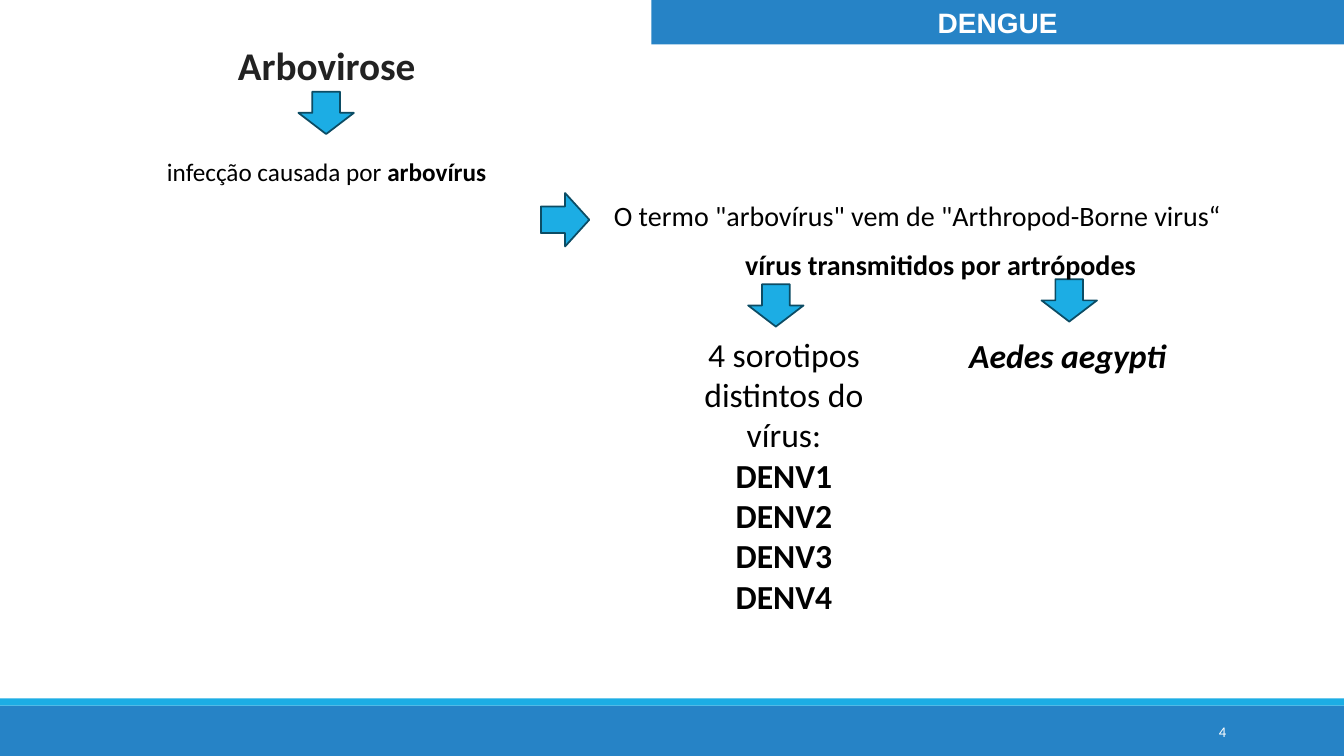
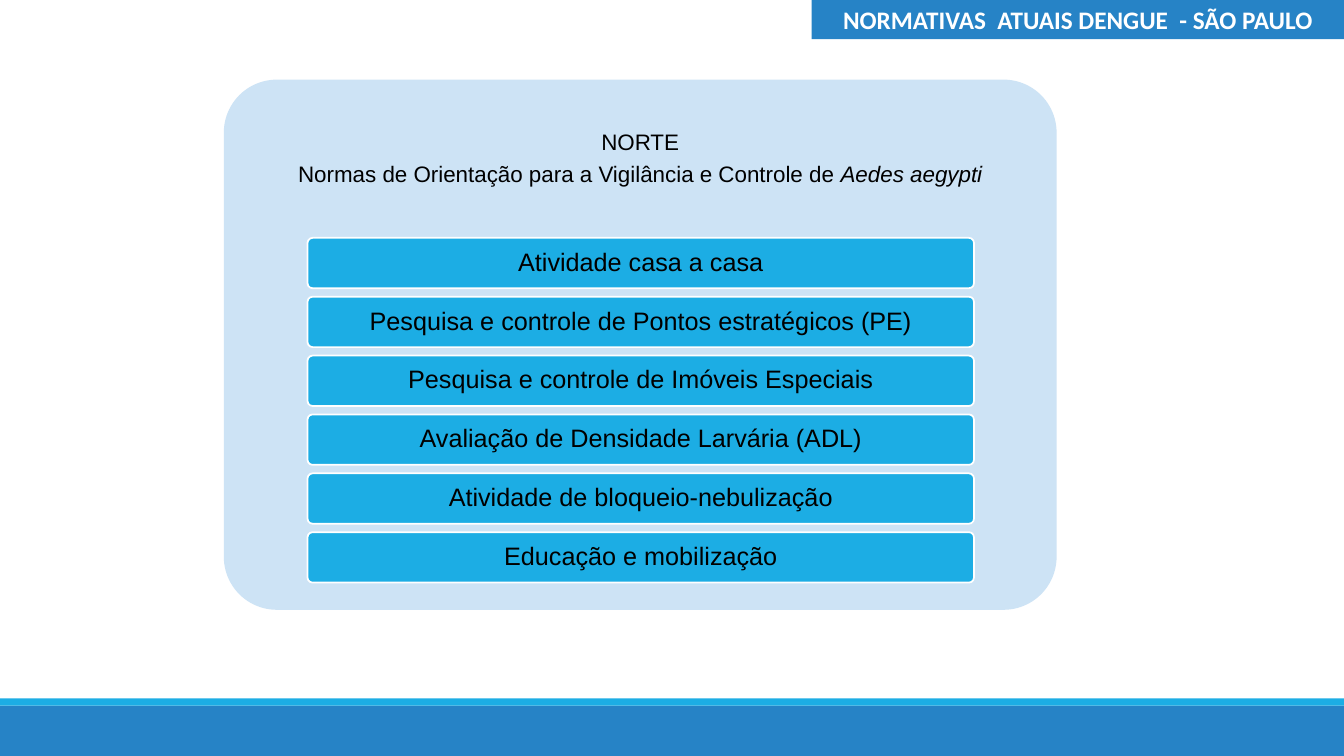
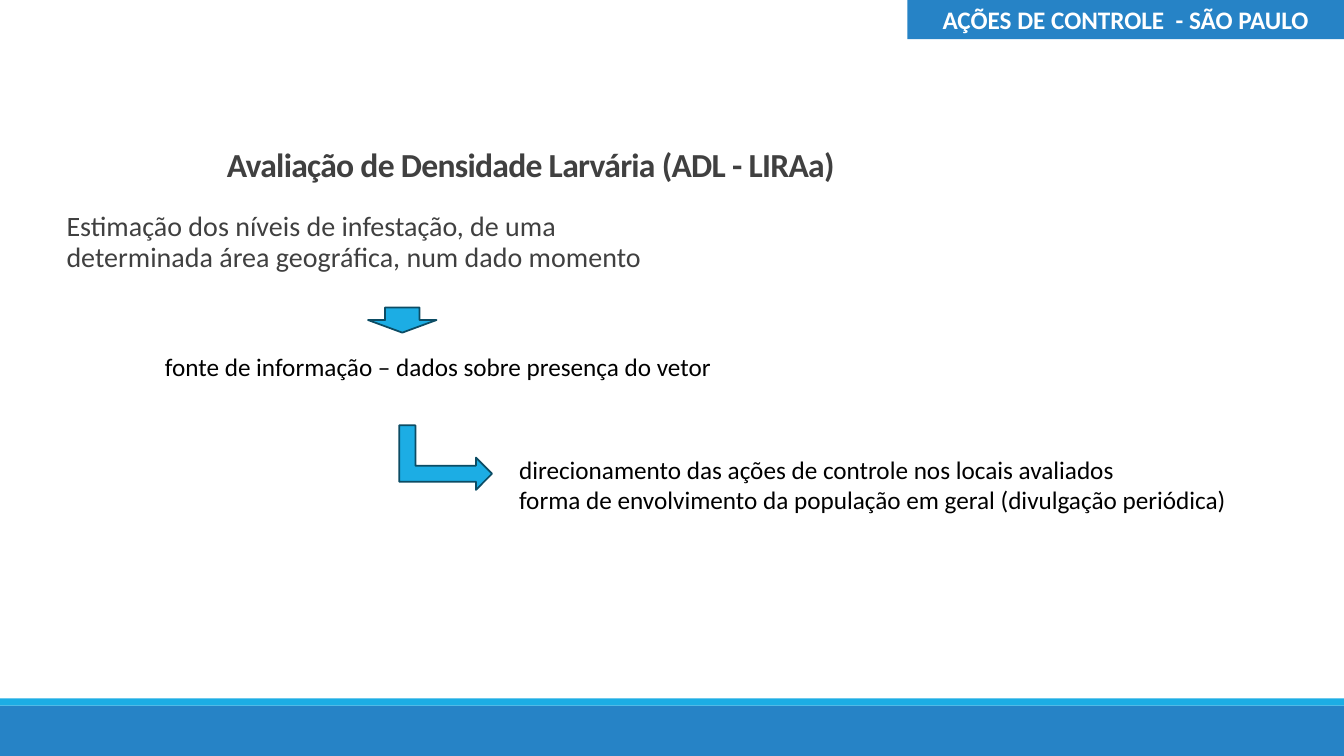
from lxml import etree
from pptx import Presentation
from pptx.dml.color import RGBColor
from pptx.enum.shapes import MSO_SHAPE
from pptx.enum.text import MSO_ANCHOR, MSO_AUTO_SIZE, PP_ALIGN
from pptx.oxml.ns import qn
from pptx.util import Inches, Pt

RECTANGLE = MSO_SHAPE.RECTANGLE
ROUNDED = MSO_SHAPE.ROUNDED_RECTANGLE
DOWN_ARROW = MSO_SHAPE.DOWN_ARROW
BENT_ARROW = MSO_SHAPE.BENT_UP_ARROW
LEFT, CENTER, RIGHT, JUSTIFY = PP_ALIGN.LEFT, PP_ALIGN.CENTER, PP_ALIGN.RIGHT, PP_ALIGN.JUSTIFY
TOP, MIDDLE, BOTTOM = MSO_ANCHOR.TOP, MSO_ANCHOR.MIDDLE, MSO_ANCHOR.BOTTOM
NO_AUTOFIT = MSO_AUTO_SIZE.NONE

BLUE = RGBColor(0x26, 0x83, 0xC6)
CYAN = RGBColor(0x1C, 0xAD, 0xE4)
PALE_BLUE = RGBColor(0xCD, 0xE3, 0xF5)
NAVY = RGBColor(0x0C, 0x4C, 0x64)
WHITE = RGBColor(0xFF, 0xFF, 0xFF)
BLACK = RGBColor(0x00, 0x00, 0x00)
CHARCOAL = RGBColor(0x22, 0x22, 0x22)
GRAY = RGBColor(0x40, 0x40, 0x40)


def add_block(page, kind, left, top, width, height, fill, outline=None):
    block = page.shapes.add_shape(kind, Inches(left), Inches(top), Inches(width), Inches(height))
    block.shadow.inherit = False
    block.fill.solid()
    block.fill.fore_color.rgb = fill
    if outline is None:
        block.line.fill.background()
    else:
        block.line.color.rgb = outline
        block.line.width = Pt(1.25)
    return block


def write(box, paragraphs, size, font="Calibri", color=BLACK, align=CENTER,
          anchor=TOP, spacing=None, after=None):
    """Each paragraph is a list of (text, style) runs; style holds b and/or i."""
    frame = box.text_frame
    frame.word_wrap = True
    frame.vertical_anchor = anchor
    for index, runs in enumerate(paragraphs):
        para = frame.add_paragraph() if index else frame.paragraphs[0]
        para.alignment = align
        para.line_spacing = spacing
        para.space_after = after
        for text, style in runs:
            span = para.add_run()
            span.text = text
            span.font.name = font
            span.font.size = Pt(size)
            span.font.color.rgb = color
            span.font.bold = "b" in style
            span.font.italic = "i" in style
    return frame


deck = Presentation()
deck.slide_width = Inches(13.33)
deck.slide_height = Inches(7.5)
BLANK = deck.slide_layouts[6]
TITLE_AND_BODY = deck.slide_layouts[1]
pages = [deck.slides.add_slide(layout) for layout in (BLANK, BLANK, TITLE_AND_BODY)]
dengue, norms, actions = pages

# Footer bands, moved to the master
master_tree = deck.slide_master.shapes.element
for number, (top, height, fill) in enumerate([(7, 0.5, BLUE), (6.93, 0.07, CYAN)]):
    band = add_block(dengue, RECTANGLE, 0, top, 13.33, height, fill)
    band.name = f"Footer band {number + 1}"
    band.element.nvSpPr.cNvPr.set("id", str(101 + number))
    master_tree.insert(2 + number, band.element)

# Banner at the top right of each slide
banners = [
    ("DENGUE", 6.46, 0, 0.44, 20, "Arial"),
    ("NORMATIVAS  ATUAIS DENGUE  - SÃO PAULO", 8.05, -0.01, 0.4, 18, "Calibri"),
    ("AÇÕES DE CONTROLE  - SÃO PAULO", 9, -0.01, 0.4, 18, "Calibri"),
]
for page, (text, left, top, height, size, font) in zip(pages, banners):
    banner = add_block(page, RECTANGLE, left, top, 13.33 - left, height, BLUE)
    write(banner, [[(text, "b")]], size, font, WHITE, anchor=MIDDLE)

# Arrows
arrows = [
    (dengue, DOWN_ARROW, 2.96, 0.91, 0.55, 0.42, 0),
    (dengue, DOWN_ARROW, 5.34, 1.94, 0.53, 0.48, 270),
    (dengue, DOWN_ARROW, 10.33, 2.77, 0.55, 0.42, 0),
    (dengue, DOWN_ARROW, 7.42, 2.82, 0.55, 0.42, 0),
    (actions, DOWN_ARROW, 3.65, 3.05, 0.68, 0.25, 0),
    (actions, BENT_ARROW, 4.1, 4.08, 0.64, 0.92, 90),
]
for page, kind, left, top, width, height, turn in arrows:
    arrow = add_block(page, kind, left, top, width, height, CYAN, NAVY)
    arrow.rotation = turn

# Slide 1: arbovirus definition
definition = dengue.shapes.add_textbox(Inches(0.04), Inches(0.45), Inches(6.4), Inches(1.43))
frame = write(definition, [
    [("Arbovirose", "b")],
    [("infecção causada por ", ""), ("arbovírus", "b")],
], 18, spacing=Pt(27), after=Pt(8))
heading = frame.paragraphs[0].runs[0].font
heading.size = Pt(28)
heading.color.rgb = CHARCOAL
frame.paragraphs[1].space_before = Pt(35)

origin = dengue.shapes.add_textbox(Inches(5.99), Inches(1.88), Inches(6.68), Inches(0.95))
frame = write(origin, [
    [('O termo "arbovírus" vem de "Arthropod-Borne virus“', "")],
    [("vírus transmitidos por artrópodes", "b")],
], 20, spacing=Pt(27), after=Pt(8))
frame.paragraphs[0].alignment = JUSTIFY

vector = dengue.shapes.add_textbox(Inches(8.83), Inches(3.27), Inches(3.52), Inches(0.5))
write(vector, [[("Aedes aegypti", "bi")]], 24)

serotypes = dengue.shapes.add_textbox(Inches(6.49), Inches(3.26), Inches(2.57), Inches(2.93))
write(serotypes, [[("4 sorotipos distintos do vírus:", "")]]
      + [[(f"DENV{number}", "b")] for number in range(1, 5)], 24)

page_number = dengue.shapes.add_textbox(Inches(10.83), Inches(7.06), Inches(1.43), Inches(0.4))
write(page_number, [[("4", "")]], 10.5, color=WHITE, align=RIGHT, anchor=MIDDLE)

# Slide 2: panel of activities
panel = add_block(norms, ROUNDED, 2.22, 0.79, 8.26, 5.26, PALE_BLUE)
panel.adjustments[0] = 0.1
panel_heading = norms.shapes.add_textbox(Inches(2.22), Inches(0.79), Inches(8.26), Inches(1.58))
write(panel_heading, [
    [("NORTE", "")],
    [("Normas de Orientação para a Vigilância e Controle de ", ""), ("Aedes aegypti", "i")],
], 16, "Arial", anchor=MIDDLE, spacing=0.9, after=Pt(6))

activities = [
    "Atividade casa a casa",
    "Pesquisa e controle de Pontos estratégicos (PE)",
    "Pesquisa e controle de Imóveis Especiais",
    "Avaliação de Densidade Larvária (ADL)",
    "Atividade de bloqueio-nebulização",
    "Educação e mobilização",
]
first_top, last_top = 2.36, 5.28
step = (last_top - first_top) / (len(activities) - 1)
for index, activity in enumerate(activities):
    bar = add_block(norms, ROUNDED, 3.05, first_top + index * step, 6.61, 0.5, CYAN, WHITE)
    bar.adjustments[0] = 0.1
    write(bar, [[(activity, "")]], 18, "Arial", anchor=MIDDLE, spacing=0.9, after=Pt(6))

# Slide 3: title and body
title = actions.shapes.title
title.left, title.top, title.width, title.height = (
    Inches(2.15), Inches(1.24), Inches(11.19), Inches(0.64))
frame = write(title, [[("Avaliação de Densidade Larvária (ADL - LIRAa)", "b")]], 24,
              color=GRAY, align=LEFT, anchor=BOTTOM, spacing=0.85)
frame.auto_size = NO_AUTOFIT
frame.paragraphs[0].runs[0].font._element.set("spc", "-50")

body = actions.placeholders[1]
body.left, body.top, body.width, body.height = (
    Inches(0.56), Inches(2.06), Inches(6.33), Inches(0.91))
frame = write(body, [[("Estimação dos níveis de infestação, de uma determinada área "
                       "geográfica, num dado momento", "")]], 20,
              color=GRAY, align=LEFT, spacing=0.9, after=Pt(2))
frame.auto_size = NO_AUTOFIT
frame.margin_left = frame.margin_right = 0
frame.paragraphs[0].space_before = Pt(0)
properties = frame.paragraphs[0]._p.get_or_add_pPr()
properties.set("marL", str(Inches(0.1)))
properties.set("indent", "0")
etree.SubElement(properties, qn("a:buNone"))

# Slide 3: information source and its uses
source = actions.shapes.add_textbox(Inches(1.01), Inches(3.44), Inches(6.67), Inches(0.4))
write(source, [[("fonte de informação – dados sobre presença do vetor", "")]], 18)

uses = actions.shapes.add_textbox(Inches(5.05), Inches(4.46), Inches(7.25), Inches(0.71))
write(uses, [
    [("direcionamento das ações de controle nos locais avaliados", "")],
    [("forma de envolvimento da população em geral (divulgação periódica)", "")],
], 18, align=LEFT)

deck.save("out.pptx")
